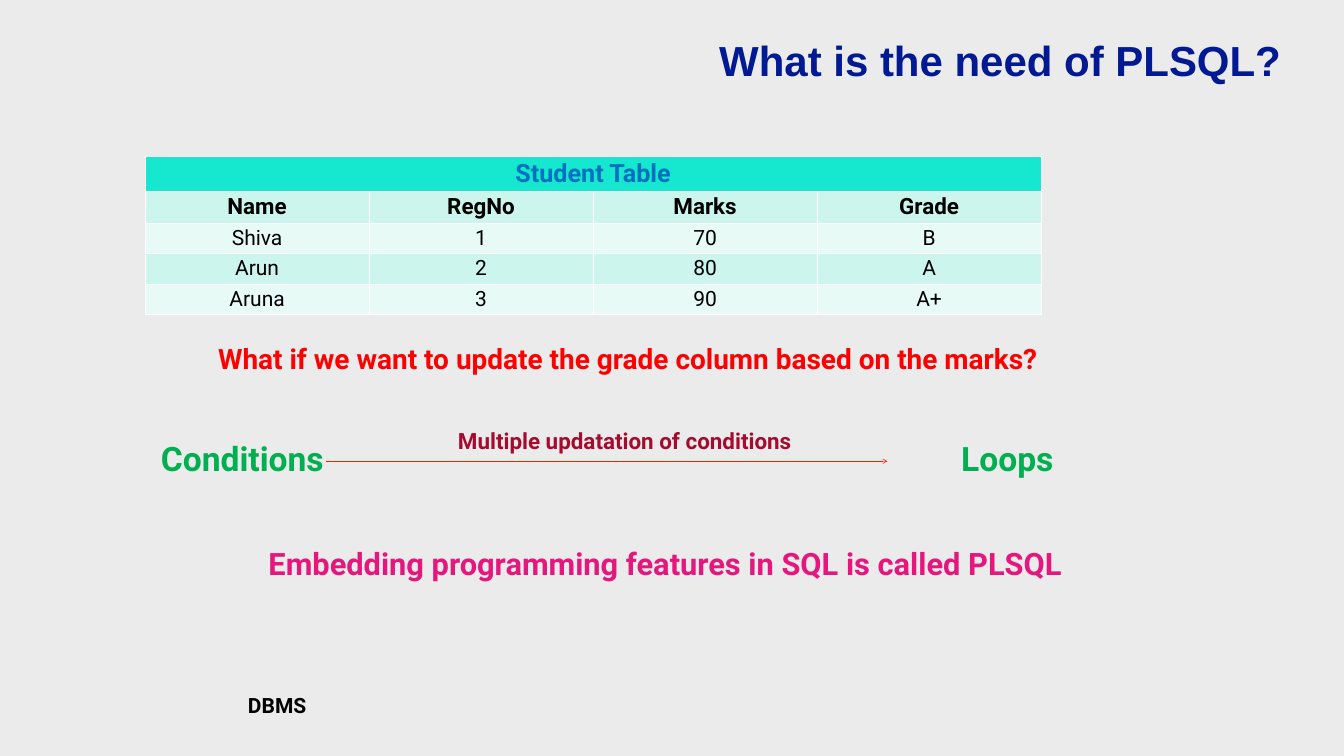
from dataclasses import dataclass

from pptx import Presentation
from pptx.dml.color import RGBColor
from pptx.enum.shapes import MSO_CONNECTOR
from pptx.enum.text import MSO_ANCHOR, MSO_AUTO_SIZE, PP_ALIGN
from pptx.oxml import parse_xml
from pptx.oxml.ns import nsdecls
from pptx.util import Inches, Pt


@dataclass(frozen=True)
class Theme:
    """Colours, fonts and type sizes of the slide."""

    background: str = "EBEBEB"
    navy: str = "011993"
    black: str = "000000"
    white: str = "FFFFFF"
    blue: str = "0070C0"
    red: str = "FF0000"
    green: str = "00B050"
    crimson: str = "A60A2F"
    pink: str = "E4177D"
    arrow: str = "FA1F00"
    turquoise: str = "16E7CF"
    mint: str = "CCF6ED"
    pale_mint: str = "E8FAF6"
    title_font: str = "Arial"
    body_font: str = "Roboto"
    title_size: int = 60
    keyword_size: int = 48
    conclusion_size: int = 44
    question_size: int = 40
    caption_size: int = 36
    label_size: int = 32
    body_size: int = 30


THEME = Theme()
STUDENTS = [
    ["Name", "RegNo", "Marks", "Grade"],
    ["Shiva", "1", "70", "B"],
    ["Arun", "2", "80", "A"],
    ["Aruna", "3", "90", "A+"],
]


def write_text(frame, text, size=THEME.body_size, color=THEME.black,
               font=THEME.body_font, bold=True):
    """Write one centred, formatted paragraph into a text frame."""
    paragraph = frame.paragraphs[0]
    paragraph.alignment = PP_ALIGN.CENTER
    run = paragraph.add_run()
    run.text = text
    run.font.name = font
    run.font.size = Pt(size)
    run.font.bold = bold
    run.font.color.rgb = RGBColor.from_string(color)


def format_frame(frame):
    """Give a text frame its margins, wrapping and vertical anchor."""
    frame.word_wrap = True
    frame.auto_size = MSO_AUTO_SIZE.SHAPE_TO_FIT_TEXT
    frame.vertical_anchor = MSO_ANCHOR.MIDDLE
    frame.margin_left = frame.margin_right = Inches(0.06)
    frame.margin_top = frame.margin_bottom = Inches(0.06)


def set_title(slide, text, left, top, width, height):
    """Place and format the title placeholder."""
    title = slide.shapes.title
    title.left, title.top = Inches(left), Inches(top)
    title.width, title.height = Inches(width), Inches(height)
    format_frame(title.text_frame)
    write_text(title.text_frame, text, size=THEME.title_size,
               color=THEME.navy, font=THEME.title_font)


def add_text(slide, text, left, top, width, height, **text_format):
    """Add a text box holding one formatted line."""
    box = slide.shapes.add_textbox(
        Inches(left), Inches(top), Inches(width), Inches(height))
    format_frame(box.text_frame)
    write_text(box.text_frame, text, **text_format)


def set_borders(cell, bottom=1):
    """Draw white borders around a table cell."""
    properties = cell._tc.get_or_add_tcPr()
    widths = {"lnL": 1, "lnR": 1, "lnT": 1, "lnB": bottom}
    for index, (side, width) in enumerate(widths.items()):
        properties.insert(index, parse_xml(
            f'<a:{side} {nsdecls("a")} w="{Pt(width)}"><a:solidFill>'
            f'<a:srgbClr val="{THEME.white}"/></a:solidFill></a:{side}>'))


def fill_cell(cell, color, bottom=1):
    """Give a table cell its fill and borders."""
    cell.fill.solid()
    cell.fill.fore_color.rgb = RGBColor.from_string(color)
    set_borders(cell, bottom)


def add_student_table(slide, left, top, width, height):
    """Add the student table with a merged caption row."""
    columns = len(STUDENTS[0])
    table = slide.shapes.add_table(
        len(STUDENTS) + 1, columns, Inches(left), Inches(top),
        Inches(width), Inches(height)).table
    for column in range(columns):
        fill_cell(table.cell(0, column), THEME.turquoise, bottom=3)
    caption = table.cell(0, 0)
    caption.merge(table.cell(0, columns - 1))
    write_text(caption.text_frame, "Student Table",
               size=THEME.caption_size, color=THEME.blue)
    for row, values in enumerate(STUDENTS, start=1):
        is_header = row == 1
        color = THEME.mint if row % 2 else THEME.pale_mint
        size = THEME.label_size if is_header else THEME.body_size
        for column, value in enumerate(values):
            cell = table.cell(row, column)
            fill_cell(cell, color)
            write_text(cell.text_frame, value, size=size, bold=is_header)


def add_arrow(slide, start, end, y):
    """Add a thin horizontal arrow."""
    arrow = slide.shapes.add_connector(
        MSO_CONNECTOR.STRAIGHT, Inches(start), Inches(y), Inches(end), Inches(y))
    arrow.line.color.rgb = RGBColor.from_string(THEME.arrow)
    arrow.line.width = Pt(0.75)
    arrow.line._get_or_add_ln().append(
        parse_xml(f'<a:tailEnd {nsdecls("a")} type="arrow"/>'))
    arrow._element.spPr.append(parse_xml(f'<a:effectLst {nsdecls("a")}/>'))


def main():
    """Build the slide and save it."""
    presentation = Presentation()
    presentation.slide_width = Inches(26.67)
    presentation.slide_height = Inches(15)
    slide = presentation.slides.add_slide(presentation.slide_layouts[5])
    slide.background.fill.solid()
    slide.background.fill.fore_color.rgb = RGBColor.from_string(THEME.background)

    add_text(slide, "DBMS", 2.34, 13.68, 6.32, 0.62)
    set_title(slide, "What is the need of PLSQL?", 13.87, 0.63, 11.96, 1.12)
    add_student_table(slide, 2.88, 3.1, 17.78, 2.83)
    add_text(slide, "What if we want to update the grade column based on the marks?",
             2.73, 6.71, 19.45, 0.79, size=THEME.question_size, color=THEME.red)
    for keyword, left in (("Conditions", 0.2), ("Loops", 15.38)):
        add_text(slide, keyword, left, 8.62, 9.22, 0.92,
                 size=THEME.keyword_size, color=THEME.green)
    add_text(slide, "Multiple updatation of conditions", 7.79, 8.42, 9.22, 0.65,
             size=THEME.label_size, color=THEME.crimson)
    add_text(slide, "Embedding programming features in SQL is called PLSQL",
             2.88, 10.75, 20.66, 0.85, size=THEME.conclusion_size, color=THEME.pink)
    add_arrow(slide, 6.46, 17.61, 9.15)
    presentation.save("out.pptx")


if __name__ == "__main__":
    main()
